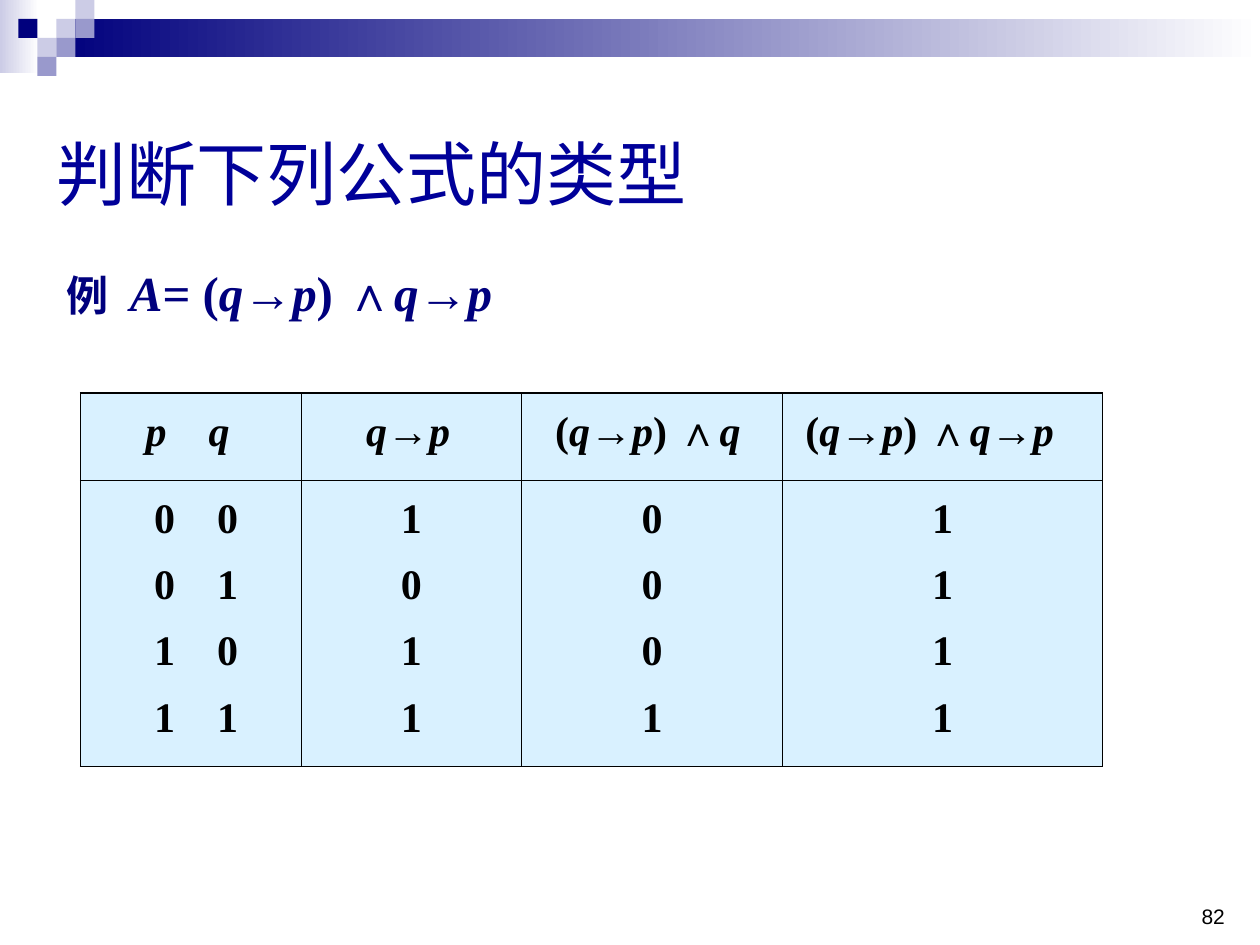
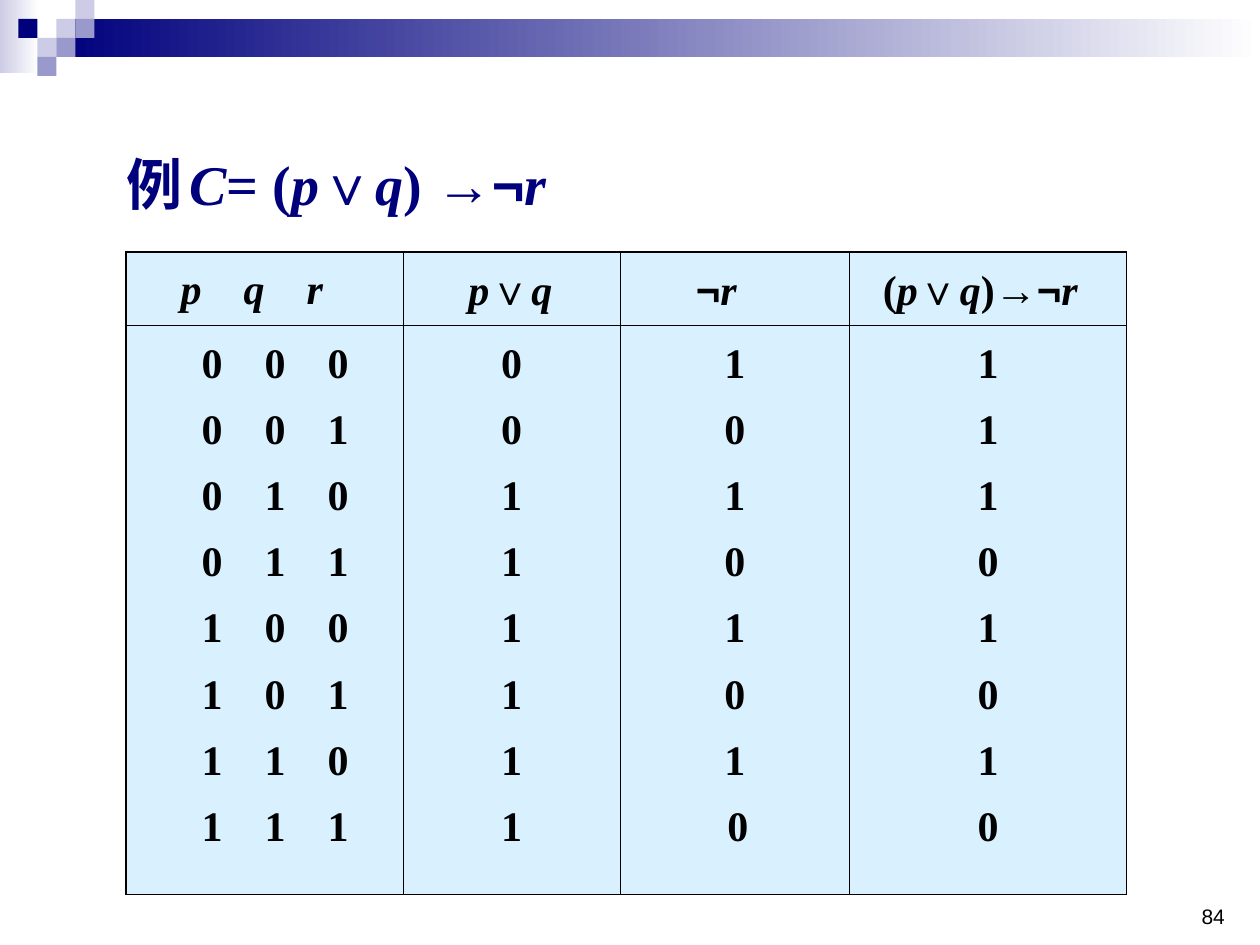
from dataclasses import dataclass
from itertools import groupby

from lxml import etree
from pptx import Presentation
from pptx import util as u
from pptx.dml import color as dml
from pptx.enum import shapes, text
from pptx.oxml import ns

Pt = u.Pt
HEX = {"navy": "00007D", "title": "000099", "mid": "9999CC", "pale": "CCCCE6",
       "white": "FFFFFF", "black": "000000", "cell": "D9F1FF"}
SERIF, SANS, HAN = "Times New Roman", "Arial", "Noto Sans CJK SC"
LEFT, MID = text.PP_ALIGN.LEFT, text.PP_ALIGN.CENTER
TILE = 10.85       # side of a corner square
PAD = 7.2          # side margin of a cell
DIGIT, STEP = 12, 30   # digit width, distance between variables
THICK, THIN = 1.08, 0.45


@dataclass
class Tile:
    col: int
    row: int
    tint: str


@dataclass
class Col:
    wide: float
    head: str
    inset: float
    rows: list[str]
    shift: float = 0           # offset of the last row
    tabs: tuple[float, ...] = ()   # tab stops of the head


@dataclass
class Grid:
    left: float
    top: float
    high: tuple[float, float]
    cols: list[Col]


TILES = [Tile(3, 1, "pale"), Tile(4, 0, "pale"), Tile(4, 1, "mid"),
         Tile(2, 2, "pale"), Tile(1, 1, "navy"), Tile(3, 2, "mid"),
         Tile(2, 3, "mid")]


def count(bits: int) -> list[str]:
    """List every assignment of the variables, one a row."""
    return ["\t".join(f"{n:0{bits}b}") for n in range(2 ** bits)]


GRID_A = Grid(46.1, 224.6, (50, 163.4), [
    Col(126, "p\tq", 30, count(2), -3, (STEP,)),
    Col(126, "q→p", 30, list("1011"), -3),
    Col(149, "(q→p) ∧q", 12, list("0001"), -3),
    Col(183, "(q→p) ∧q→p", 6, list("1111")),
])
GRID_C = Grid(72, 144, (41.8, 325.4), [
    Col(158.4, "p\tq\tr", 24, count(3), 0, (STEP, 66)),
    Col(124, "p∨q", 30, list("00111111"), -0.7),
    Col(131, "¬r", 36, list("10101010"), 1.7),
    Col(158.4, "(p∨q)→¬r", 12, list("11101010")),
])


def put(obj, vals: dict) -> None:
    for key, val in vals.items():
        setattr(obj, key, val)


def rgb(name: str) -> dml.RGBColor:
    return dml.RGBColor.from_string(HEX[name])


def add_run(par, words: str, size: float, tint: str, face: str, **form) -> None:
    run = par.add_run()
    run.text = words
    put(run.font, {"size": Pt(size), "name": face, **form})
    run.font.color.rgb = rgb(tint)
    east = etree.SubElement(run.font._element, ns.qn("a:ea"))
    east.set("typeface", HAN)


def add_math(par, words: str, size: float, tint: str) -> None:
    """Letters are italic, logic signs are sans, the rest is upright."""
    def kind(sign: str) -> tuple[str, bool]:
        return (SANS if sign in "∧∨→¬" else SERIF,
                sign.isascii() and sign.isalpha())

    for (face, slant), part in groupby(words, kind):
        add_run(par, "".join(part), size, tint, face, bold=True, italic=slant)


def set_par(par, stops: tuple[float, ...] = (), indent: float = 0) -> None:
    prop = par._p.get_or_add_pPr()
    prop.set("marL", "0")
    prop.set("indent", str(int(Pt(indent))))
    etree.SubElement(prop, ns.qn("a:buNone"))
    if stops:
        tabs = etree.SubElement(prop, ns.qn("a:tabLst"))
        for stop in stops:
            tab = etree.SubElement(tabs, ns.qn("a:tab"))
            tab.set("pos", str(int(Pt(stop))))
            tab.set("algn", "l")


def set_box(shape, box: tuple[float, ...], anchor):
    """Place a text shape and return its first paragraph."""
    put(shape, dict(zip(("left", "top", "width", "height"), map(Pt, box))))
    frame = shape.text_frame
    put(frame, {"word_wrap": True, "vertical_anchor": anchor,
                "auto_size": text.MSO_AUTO_SIZE.NONE,
                "margin_left": Pt(7.2), "margin_right": Pt(7.2),
                "margin_top": Pt(3.6), "margin_bottom": Pt(3.6)})
    par = frame.paragraphs[0]
    put(par, {"alignment": LEFT, "space_before": Pt(0)})
    return par


def add_rect(slide, box: tuple[float, ...], *tints: str):
    """Draw a flat square, or a gradient when two tints are given."""
    rect = slide.shapes.add_shape(shapes.MSO_SHAPE.RECTANGLE, *map(Pt, box))
    rect.shadow.inherit = False
    rect.line.fill.background()
    if len(tints) == 1:
        rect.fill.solid()
        rect.fill.fore_color.rgb = rgb(tints[0])
    else:
        rect.fill.gradient()
        rect.fill.gradient_angle = 0
        for stop, tint in zip(rect.fill.gradient_stops, tints):
            stop.color.rgb = rgb(tint)
    return rect


def add_band(slide, master) -> None:
    """Draw the top band and move it to the master, behind all else."""
    parts = [add_rect(slide, (0, 0, 22.3, 41.8), "pale", "white"),
             add_rect(slide, (32.4, 10.8, 687.6, 21.6), "navy", "white")]
    for tile in TILES:
        box = (tile.col * TILE - 0.3, tile.row * TILE, TILE, TILE)
        parts.append(add_rect(slide, box, tile.tint))
    tree = master.shapes.element
    for spot, part in enumerate(parts, 2):
        tree.insert(spot, part._element)


def add_page(slide, number: str) -> None:
    box = slide.shapes.add_textbox(0, 0, 0, 0)
    par = set_box(box, (678.2, 516.2, 30.2, 18), text.MSO_ANCHOR.BOTTOM)
    par.alignment = MID
    add_run(par, number, 12, "black", SANS)


def set_edge(cell, side: str, width: float) -> None:
    prop = cell._tc.get_or_add_tcPr()
    line = etree.SubElement(prop, ns.qn(f"a:ln{side}"), w=str(int(Pt(width))))
    fill = etree.SubElement(line, ns.qn("a:solidFill"))
    etree.SubElement(fill, ns.qn("a:srgbClr"), val=HEX["black"])


def fill_head(cell, col: Col) -> None:
    cell.margin_left = Pt(PAD + col.inset)
    par = cell.text_frame.paragraphs[0]
    set_par(par, col.tabs)
    par.line_spacing = 1.2
    add_math(par, col.head, 24, "black")


def fill_body(cell, col: Col) -> None:
    gaps = col.rows[0].count("\t")
    if gaps:
        span = gaps * STEP + DIGIT
        cell.margin_left = Pt((col.wide - span) / 2)
    frame = cell.text_frame
    for spot, row in enumerate(col.rows):
        par = frame.add_paragraph() if spot else frame.paragraphs[0]
        shift = col.shift if spot == len(col.rows) - 1 else 0
        stops = tuple(STEP * n + shift for n in range(1, gaps + 1))
        # an indent moves a centred line by half its size
        set_par(par, stops, shift if gaps else 2 * shift)
        put(par, {"alignment": LEFT if gaps else MID, "line_spacing": 1.2,
                  "space_before": Pt(6 if spot else 0)})
        add_math(par, row, 24, "black")


def add_grid(slide, grid: Grid) -> None:
    wide = sum(col.wide for col in grid.cols)
    last = len(grid.cols) - 1
    table = slide.shapes.add_table(2, last + 1, *map(
        Pt, (grid.left, grid.top, wide, sum(grid.high)))).table
    put(table, {"first_row": False, "horz_banding": False})
    for row, high in zip(table.rows, grid.high):
        row.height = Pt(high)
    for x, col in enumerate(grid.cols):
        table.columns[x].width = Pt(col.wide)
        for y, fill in enumerate((fill_head, fill_body)):
            cell = table.cell(y, x)
            fill(cell, col)
            outer = {"L": x == 0, "R": x == last, "T": y == 0, "B": y == 1}
            for side, edge in outer.items():
                set_edge(cell, side, THICK if edge else THIN)
            cell.fill.solid()
            cell.fill.fore_color.rgb = rgb("cell")


def main() -> None:
    deck = Presentation()
    put(deck, {"slide_width": Pt(720), "slide_height": Pt(540)})
    middle, top = text.MSO_ANCHOR.MIDDLE, text.MSO_ANCHOR.TOP

    # Formula A
    slide = deck.slides.add_slide(deck.slide_layouts[1])
    add_band(slide, deck.slide_master)
    par = set_box(slide.shapes.title, (25.2, 74.9, 648, 47.5), middle)
    add_run(par, "判断下列公式的类型", 40, "title", HAN)
    par = set_box(slide.placeholders[1], (31, 153, 629, 41), top)
    set_par(par, (41,))
    par.line_spacing = 0.8
    add_run(par, "例\t", 24, "navy", HAN, bold=True)
    add_math(par, "A= (q→p) ∧q→p", 28, "navy")
    add_grid(slide, GRID_A)
    add_page(slide, "82")

    # Formula C
    slide = deck.slides.add_slide(deck.slide_layouts[5])
    par = set_box(slide.shapes.title, (64.8, 81.4, 601, 46), middle)
    set_par(par, (54,))
    add_math(par, "例\tC= (p∨q) →¬r", 32, "navy")
    add_grid(slide, GRID_C)
    add_page(slide, "84")

    deck.save("out.pptx")


if __name__ == "__main__":
    main()
